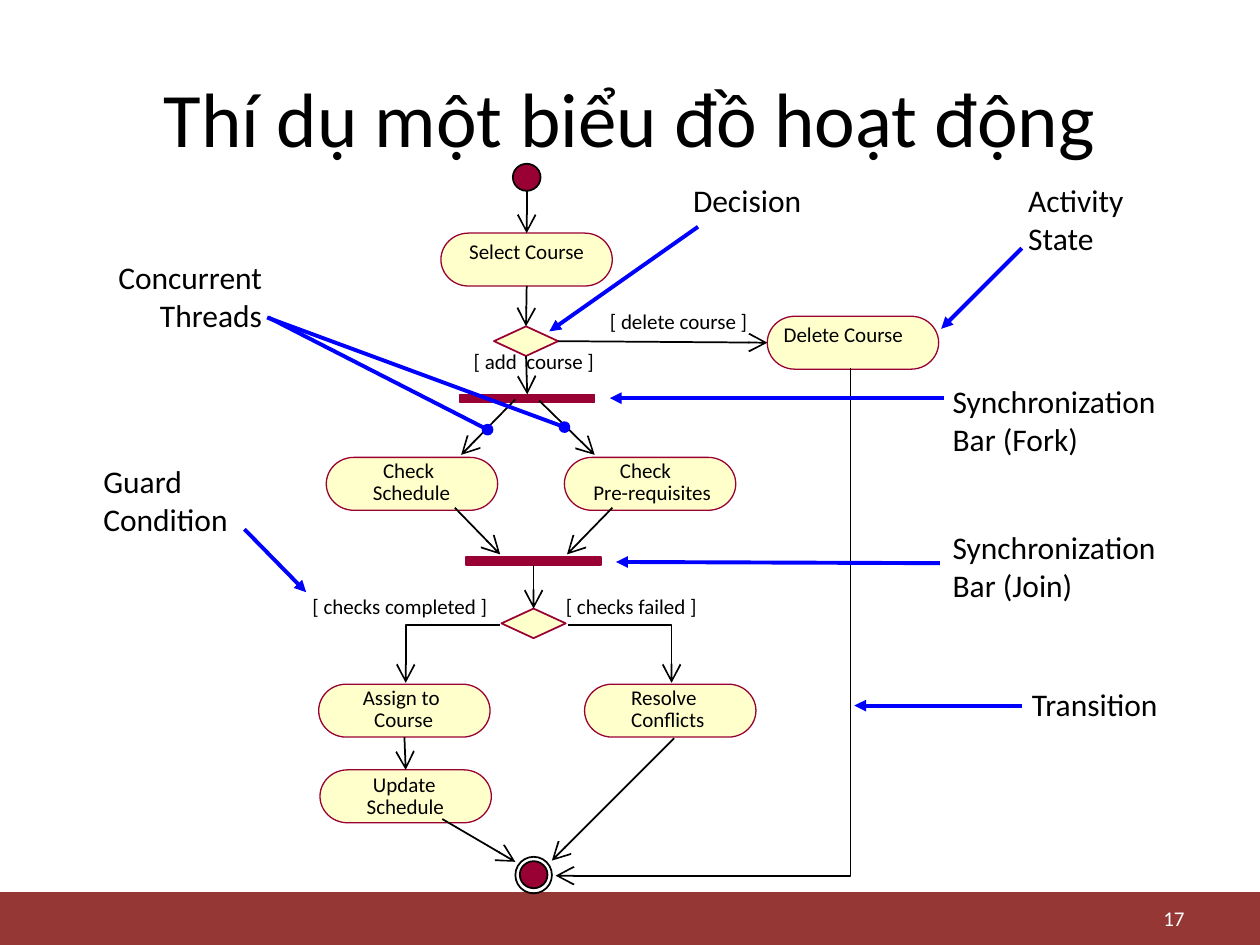
import pptx
import pptx.util
import pptx.dml.color
import pptx.enum.shapes
import pptx.enum.text
import pptx.oxml.ns
import lxml.etree

RGB = pptx.dml.color.RGBColor
KIND = pptx.enum.shapes.MSO_SHAPE
ALIGN = pptx.enum.text.PP_ALIGN
ANCHOR = pptx.enum.text.MSO_ANCHOR
FIT = pptx.enum.text.MSO_AUTO_SIZE
BLACK, WHITE = RGB(0, 0, 0), RGB(255, 255, 255)
BAND, WINE = RGB(0x95, 0x37, 0x35), RGB(0x99, 0x00, 0x33)
CREAM, BLUE = RGB(0xFF, 0xFF, 0xCC), RGB(0, 0, 255)

# The slide is a grid of 100 columns and 75 rows
COLS, ROWS, CELL = 100, 75, 0.1
TOP, LEFT, BOTTOM, RIGHT = range(4)

# Node styles: shape, width, height, fill, line, line width
STYLES = {
    "state": (KIND.FLOWCHART_TERMINATOR, 13.6, 4.2, CREAM, WINE, 0.75),
    "choice": (KIND.DIAMOND, 5.1, 2.35, CREAM, WINE, 1),
    "bar": (KIND.RECTANGLE, 10.7, 0.65, WINE, WINE, 1),
    "dot": (KIND.OVAL, 2.2, 2.15, WINE, BLACK, 1),
    "ring": (KIND.OVAL, 2.9, 2.9, None, BLACK, 1),
}
# Nodes: style, left, top
NODES = {
    "start": ("dot", 40.7, 13),
    "select": ("state", 35, 18.5),
    "course?": ("choice", 39.2, 25.9),
    "delete": ("state", 60.9, 25.1),
    "fork": ("bar", 36.5, 31.3),
    "schedule": ("state", 25.9, 36.3),
    "prereq": ("state", 44.8, 36.3),
    "join": ("bar", 37, 44.2),
    "passed?": ("choice", 39.8, 48.3),
    "assign": ("state", 25.3, 54.3),
    "resolve": ("state", 46.4, 54.3),
    "update": ("state", 25.4, 61.1),
    "ring": ("ring", 40.9, 68),
    "end": ("dot", 41.25, 68.35),
}
# Flows between side middles: node, side, node, side
JOINS = [
    ("select", BOTTOM, "course?", TOP),
    ("course?", RIGHT, "delete", LEFT),
    ("course?", BOTTOM, "fork", TOP),
    ("join", BOTTOM, "passed?", TOP),
    ("assign", BOTTOM, "update", TOP),
]
# Free flows: the points passed
FLOWS = [
    [(40.9, 31.7), (36.6, 36.1)],
    [(42.8, 31.8), (47.2, 36.1)],
    [(36.1, 40.3), (39.7, 44)],
    [(48.6, 40.3), (45, 44)],
    [(35.1, 65), (40.9, 68.4)],
    [(53.5, 58.6), (43.8, 68.3)],
    [(67.5, 29.2), (67.5, 69.5), (44.1, 69.5)],
    [(39.7, 49.6), (32.2, 49.6), (32.2, 54.2)],
    [(45.1, 49.6), (53.3, 49.6), (53.3, 54.2)],
]
# Small labels: text, left, top, width
LABELS = [
    ("Select Course", 36.6, 18.9, 10.4),
    ("Delete Course", 62.2, 25.5, 10.6),
    ("Check", 30.4, 36.3, 5.2),
    ("Schedule", 29.6, 38.1, 6.9),
    ("Check", 49.2, 36.3, 5.2),
    ("Pre-requisites", 47.1, 38.1, 10.2),
    ("Assign to", 28.8, 54.3, 7.3),
    ("Course", 29.7, 56.1, 5.3),
    ("Resolve", 50.1, 54.3, 6.5),
    ("Conflicts", 50.1, 56.1, 6.4),
    ("Update", 29.6, 61.2, 5.8),
    ("Schedule", 29.1, 63, 6.9),
    ("[ add  course ]", 37.6, 27.7, 11),
    ("[ delete course ]", 48.4, 24.5, 11.8),
    ("[ checks completed ]", 24.8, 47.1, 15.2),
    ("[ checks failed ]", 44.9, 47.1, 11.5),
]
# Notes: text, box, alignment, pointers (from, to, tip)
NOTES = [
    ("Activity State", (80.4, 13.8, 10.5, 7.2), ALIGN.LEFT,
     [((81.1, 19.7), (74.7, 26.1), "triangle")]),
    ("Synchronization\nBar (Fork)", (74.4, 29.7, 20.5, 7.2), ALIGN.LEFT,
     [((74.9, 31.6), (48.4, 31.6), "triangle")]),
    ("Synchronization\nBar (Join)", (74.4, 41.3, 20.5, 7.2), ALIGN.LEFT,
     [((74.6, 44.7), (48.9, 44.6), "triangle")]),
    ("Guard\nCondition", (7, 36.1, 13.1, 7.2), ALIGN.LEFT,
     [((19.4, 42), (24.3, 47), "triangle")]),
    ("Decision", (53.8, 13.8, 12.2, 4.2), ALIGN.LEFT,
     [((55.4, 18), (43.6, 26.3), "triangle")]),
    ("Concurrent Threads", (5.3, 19.9, 16.7, 7.2), ALIGN.RIGHT,
     [((21.3, 25.2), (38.7, 34.1), "oval"),
      ((21.2, 25.2), (44.8, 33.9), "oval")]),
    ("Transition", (80.7, 53.8, 14.2, 4.2), ALIGN.LEFT,
     [((81.1, 56), (67.8, 56), "triangle")]),
]


def grid(*nums):
    return [pptx.util.Inches(n * CELL) for n in nums]


def write(text, box, size=12, color=BLACK, align=ALIGN.LEFT,
          anchor=ANCHOR.TOP, pad=(0, 0), wrap=True, fit=FIT.NONE):
    frame = shapes.add_textbox(*grid(*box)).text_frame
    frame.word_wrap, frame.auto_size = wrap, fit
    frame.vertical_anchor = anchor
    frame.margin_left = frame.margin_right = grid(pad[0])[0]
    frame.margin_top = frame.margin_bottom = grid(pad[1])[0]
    frame.text = text
    for para in frame.paragraphs:
        para.alignment = align
        para.font.name, para.font.size = "Calibri", pptx.util.Pt(size)
        para.font.color.rgb = color


def draw(kind, box, fill, line=None, width=1):
    shape = shapes.add_shape(kind, *grid(*box))
    shape.shadow.inherit = False
    if fill is None:
        shape.fill.background()
    else:
        shape.fill.solid()
        shape.fill.fore_color.rgb = fill
    if line is None:
        shape.line.fill.background()
    else:
        shape.line.color.rgb = line
        shape.line.width = pptx.util.Pt(width)
    return shape


def link(points, color=BLACK, width=1, tip="arrow", size="lg"):
    """Draw an arrow: a connector when straight, a freeform when bent."""
    if len(points) == 2:
        path = shapes.add_connector(pptx.enum.shapes.MSO_CONNECTOR.STRAIGHT,
                                    *grid(*points[0], *points[1]))
    else:
        spots = [grid(*p) for p in points]
        form = shapes.build_freeform(*spots[0])
        form.add_line_segments(spots[1:], close=False)
        path = form.convert_to_shape()
        path.fill.background()
    path.line.color.rgb = color
    path.line.width = pptx.util.Pt(width)
    qn = pptx.oxml.ns.qn
    props = path.line.color and path._element.spPr
    lxml.etree.SubElement(props.find(qn("a:ln")), qn("a:tailEnd"),
                          type=tip, w=size, len=size)
    lxml.etree.SubElement(props, qn("a:effectLst"))
    return path


deck = pptx.Presentation()
deck.slide_width, deck.slide_height = grid(COLS, ROWS)
shapes = deck.slides.add_slide(deck.slide_layouts[6]).shapes

# Band, title and page number
draw(KIND.RECTANGLE, (0, 70.8, COLS, 4.2), BAND)
write("Thí dụ một biểu đồ hoạt động", (5, 3, 90, 12.5), size=44,
      align=ALIGN.CENTER, anchor=ANCHOR.MIDDLE, pad=(1, 0.5))
write("17", (71.7, 71.5, 23.3, 2.7), color=WHITE, align=ALIGN.RIGHT,
      anchor=ANCHOR.MIDDLE, pad=(1, 0.5))

# Nodes
made = {}
for name, (style, left, top) in NODES.items():
    kind, wide, high, fill, line, width = STYLES[style]
    made[name] = draw(kind, (left, top, wide, high), fill, line, width)

# Flows
for first, out, last, into in JOINS:
    flow = link([(0, 0), (1, 1)])
    flow.begin_connect(made[first], out)
    flow.end_connect(made[last], into)
flow = link([(41.8, 15.1), (41.8, 18.5)])
flow.end_connect(made["select"], TOP)
for points in FLOWS:
    link(points)

# Labels
for text, left, top, wide in LABELS:
    side = ALIGN.CENTER if text == "Select Course" else ALIGN.LEFT
    write(text, (left, top, wide, 2), align=side, wrap=False,
          fit=FIT.SHAPE_TO_FIT_TEXT)

# Notes and their pointers
for text, box, side, tips in NOTES:
    write(text, box, size=18, align=side, pad=(1.2, 0.6),
          fit=FIT.SHAPE_TO_FIT_TEXT)
    for begin, end, tip in tips:
        link([begin, end], color=BLUE, width=2.25, tip=tip, size="med")

deck.save("out.pptx")
